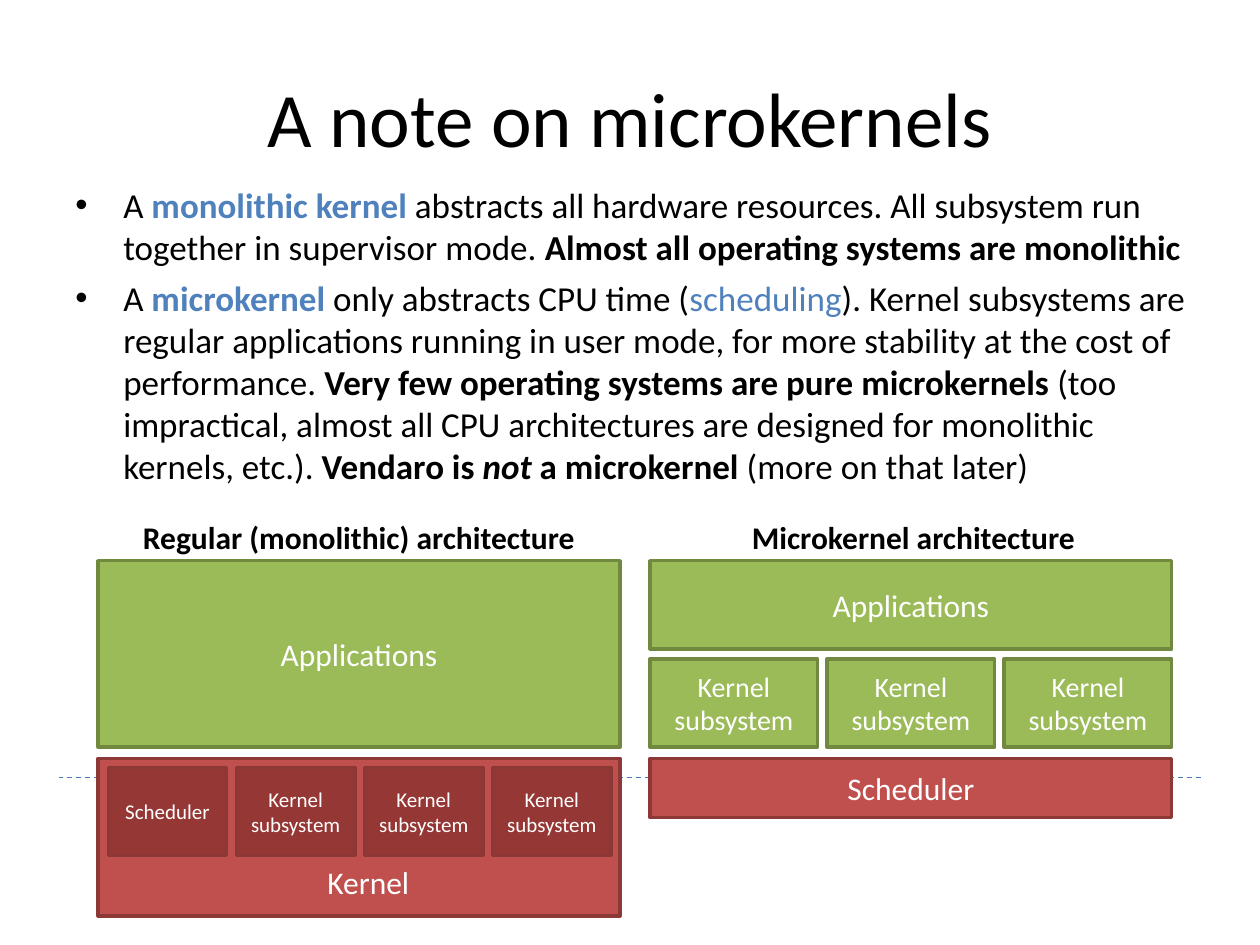
from dataclasses import dataclass

from lxml import etree
from pptx import Presentation
from pptx.dml.color import RGBColor
from pptx.enum.dml import MSO_LINE
from pptx.enum.shapes import MSO_CONNECTOR, MSO_SHAPE
from pptx.enum.text import MSO_ANCHOR, PP_ALIGN
from pptx.oxml.ns import qn
from pptx.util import Inches, Pt


@dataclass(frozen=True)
class Theme:
    font: str = "Calibri"
    black: str = "000000"
    white: str = "FFFFFF"
    accent: str = "4F81BD"
    divider: str = "4A7EBB"
    green: str = "9BBB59"
    green_edge: str = "71893F"
    red: str = "C0504D"
    red_edge: str = "8C3836"
    dark_red: str = "953735"
    title: int = 44
    body: int = 20
    label: int = 18
    subsystem: int = 16
    small: int = 12


theme = Theme()


def write(para, text, size, color, **formats):
    span = para.add_run()
    span.text = text
    span.font.color.rgb = RGBColor.from_string(color)
    for name, value in {"name": theme.font, "size": Pt(size), **formats}.items():
        setattr(span.font, name, value)


def add_block(position, fill, edge=None, text="", size=theme.label, align=PP_ALIGN.CENTER):
    block = page.shapes.add_shape(MSO_SHAPE.RECTANGLE, *map(Inches, position))
    block.shadow.inherit = False
    block.fill.solid()
    block.fill.fore_color.rgb = RGBColor.from_string(fill)
    if edge:
        block.line.color.rgb = RGBColor.from_string(edge)
        block.line.width = Pt(2)
    else:
        block.line.fill.background()
    if text:
        block.text_frame.vertical_anchor = MSO_ANCHOR.MIDDLE
        para = block.text_frame.paragraphs[0]
        para.alignment = align
        write(para, text, size, theme.white)


deck = Presentation()
deck.slide_width, deck.slide_height = Inches(10), Inches(7.5)
page = deck.slides.add_slide(deck.slide_layouts[6])

# Boundary between user mode and supervisor mode
boundary = page.shapes.add_connector(
    MSO_CONNECTOR.STRAIGHT, Inches(9.53), Inches(6.17), Inches(0.47), Inches(6.17)
)
boundary.line.color.rgb = RGBColor.from_string(theme.divider)
boundary.line.width = Pt(0.75)
boundary.line.dash_style = MSO_LINE.DASH
etree.SubElement(boundary._element.spPr, qn("a:effectLst"))

# Title and diagram headings
headings = [
    ((0.5, 0.3, 9, 1.25), "A note on microkernels", theme.title, False),
    ((1.03, 4.06, 3.64, 0.4), "Regular (monolithic) architecture", theme.label, True),
    ((5.86, 4.06, 2.78, 0.4), "Microkernel architecture", theme.label, True),
]
for position, text, size, bold in headings:
    box = page.shapes.add_textbox(*map(Inches, position))
    box.text_frame.word_wrap = not bold
    box.text_frame.vertical_anchor = MSO_ANCHOR.MIDDLE
    para = box.text_frame.paragraphs[0]
    para.alignment = PP_ALIGN.CENTER
    write(para, text, size, theme.black, bold=bold)

# Bulleted explanation
plain = {"color": theme.black}
strong = {"color": theme.black, "bold": True}
term = {"color": theme.accent, "bold": True}
bullets = [
    [
        ("A ", plain),
        ("monolithic kernel", term),
        (" abstracts all hardware resources. All subsystem run together in supervisor mode. ", plain),
        ("Almost all operating systems are monolithic", strong),
    ],
    [
        ("A ", plain),
        ("microkernel", term),
        (" only abstracts CPU time (", plain),
        ("scheduling", {"color": theme.accent}),
        ("). Kernel subsystems are regular applications running in user mode, "
         "for more stability at the cost of performance. ", plain),
        ("Very few operating systems are pure microkernels", strong),
        (" (too impractical, almost all CPU architectures are designed for "
         "monolithic kernels, etc.). ", plain),
        ("Vendaro is ", strong),
        ("not", {**strong, "italic": True}),
        (" a microkernel", strong),
        (" (more on that later)", plain),
    ],
]
body = page.shapes.add_textbox(Inches(0.5), Inches(1.41), Inches(9.02), Inches(4.95))
body.text_frame.word_wrap = True
for index, spans in enumerate(bullets):
    para = body.text_frame.add_paragraph() if index else body.text_frame.paragraphs[0]
    para.space_before = Pt(5)
    properties = para._p.get_or_add_pPr()
    properties.set("marL", str(Inches(0.38)))
    properties.set("indent", str(-Inches(0.38)))
    etree.SubElement(properties, qn("a:buFont")).set("typeface", "Arial")
    etree.SubElement(properties, qn("a:buChar")).set("char", "•")
    for text, formats in spans:
        write(para, text, theme.body, **formats)

# Monolithic architecture
left, right, width = 0.78, 5.16, 4.14
add_block((left, 4.45, width, 1.48), theme.green, theme.green_edge, "Applications")
add_block((left, 6.02, width, 1.25), theme.red, theme.red_edge)
add_block((2.5, 6.8, 0.86, 0.4), theme.red, text="Kernel", align=PP_ALIGN.LEFT)
for column, text in enumerate(["Scheduler"] + ["Kernel subsystem"] * 3):
    position = (0.86 + column * 3.05 / 3, 6.09, 0.94, 0.7)
    add_block(position, theme.dark_red, theme.red_edge, text, theme.small)

# Microkernel architecture
add_block((right, 4.45, width, 0.7), theme.green, theme.green_edge, "Applications")
for column in range(3):
    position = (right + column * 2.81 / 2, 5.23, 1.33, 0.7)
    add_block(position, theme.green, theme.green_edge, "Kernel subsystem", theme.subsystem)
add_block((right, 6.02, width, 0.47), theme.red, theme.red_edge, "Scheduler")

deck.save("out.pptx")
